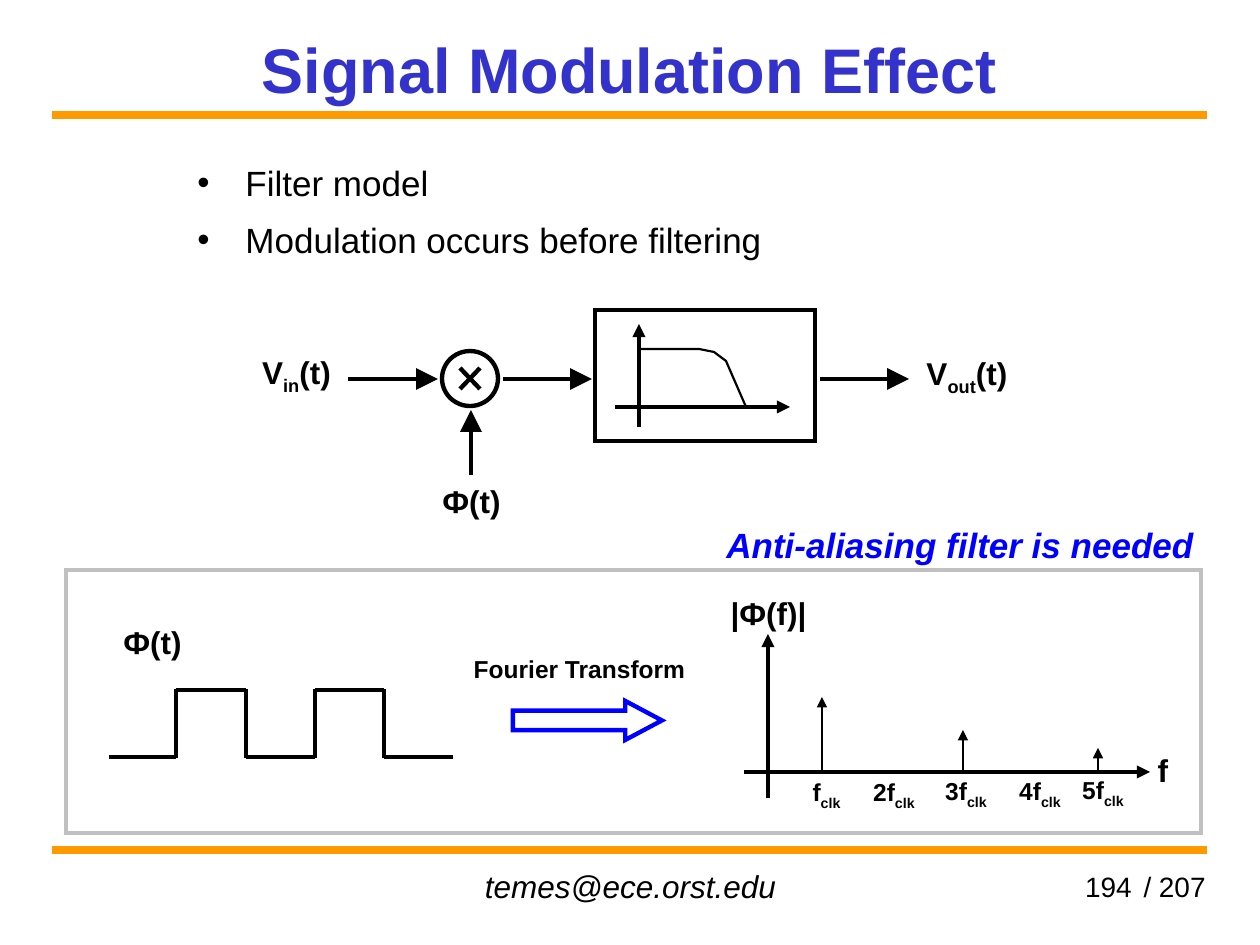
"""Build the signal modulation effect slide."""
from lxml import etree
from pptx import Presentation
from pptx.dml.color import RGBColor
from pptx.enum import shapes, text
from pptx.oxml.ns import qn
from pptx.util import Pt

PX = 914400 / 126
COLORS = {"black": "000000", "title": "3333CC", "rule": "FF9900",
          "blue": "0000FF", "frame": "C0C0C0"}
LEFT, CENTER, RIGHT = text.PP_ALIGN.LEFT, text.PP_ALIGN.CENTER, text.PP_ALIGN.RIGHT
TOP, MIDDLE, BOTTOM = text.MSO_ANCHOR.TOP, text.MSO_ANCHOR.MIDDLE, text.MSO_ANCHOR.BOTTOM

prs = Presentation()
prs.slide_width, prs.slide_height = int(1260 * PX), int(945 * PX)
s = prs.slides.add_slide(prs.slide_layouts[6])


def add_line(x1, y1, x2, y2, width=2.5, color="black", head=None):
    ends = [int(v * PX) for v in (x1, y1, x2, y2)]
    cx = s.shapes.add_connector(shapes.MSO_CONNECTOR.STRAIGHT, *ends)
    cx.line.width = Pt(width)
    cx.line.color.rgb = RGBColor.from_string(COLORS[color])
    if head:
        etree.SubElement(cx.line._get_or_add_ln(), qn("a:tailEnd"),
                         type="triangle", w=head, len=head)
    etree.SubElement(cx._element.spPr, qn("a:effectLst"))


def add_text(box, paragraphs, size, color="black", bold=False, italic=False,
             align=CENTER, anchor=BOTTOM, wrap=False, bullet=False):
    tf = s.shapes.add_textbox(*[int(v * PX) for v in box]).text_frame
    tf.word_wrap = wrap
    tf.vertical_anchor = anchor
    for i, runs in enumerate(paragraphs):
        p = tf.add_paragraph() if i else tf.paragraphs[0]
        p.alignment = align
        if i:
            p.line_spacing = 1.2
            p.space_before = Pt(4)
        if bullet:
            pPr = p._p.get_or_add_pPr()
            pPr.set("marL", str(int(48 * PX)))
            pPr.set("indent", str(int(-48 * PX)))
            etree.SubElement(pPr, qn("a:buFont"), typeface="Arial")
            etree.SubElement(pPr, qn("a:buChar"), char="•")
        for j, part in enumerate(runs):
            r = p.add_run()
            r.text = part
            r.font.name = "Arial"
            r.font.size = Pt(size)
            r.font.bold, r.font.italic = bold, italic
            r.font.color.rgb = RGBColor.from_string(COLORS[color])
            if j == 1:
                r._r.get_or_add_rPr().set("baseline", "-25000")


for y in (115, 850):
    add_line(52, y, 1207, y, 4.5, "rule")
add_text((94, 21, 1071, 95), [["Signal Modulation Effect"]], 36, "title",
         bold=True, anchor=MIDDLE, wrap=True)
add_text((185, 155, 673, 137), [["Filter model"], ["Modulation occurs before filtering"]],
         20, align=LEFT, anchor=TOP, wrap=True, bullet=True)
add_text((410, 861, 441, 50), [["temes@ece.orst.edu"]], 18, italic=True,
         anchor=TOP, wrap=True)
for x, w, number in ((935, 283, "/ 207"), (969, 175, "194")):
    add_text((x, 861, w, 50), [[number]], 16, align=RIGHT, anchor=MIDDLE, wrap=True)
add_text((714, 517, 502, 59), [["Anti-aliasing filter is needed"]], 20, "blue",
         bold=True, italic=True, align=LEFT, anchor=TOP)

kinds = shapes.MSO_SHAPE
for kind, box, color, width in (
    (kinds.OVAL, (442, 351, 56, 55), "black", 2.5),
    (kinds.RECTANGLE, (595, 310, 220, 131), "black", 2.5),
    (kinds.RECTANGLE, (66, 570, 1135, 263), "frame", 2),
    (kinds.RIGHT_ARROW, (513, 701, 149, 39), "blue", 2.5),
):
    sp = s.shapes.add_shape(kind, *[int(v * PX) for v in box])
    sp.shadow.inherit = False
    sp.fill.background()
    sp.line.width = Pt(width)
    sp.line.color.rgb = RGBColor.from_string(COLORS[color])
    etree.SubElement(sp.line._get_or_add_ln(), qn("a:miter"), lim="800000")
    if kind == kinds.RIGHT_ARROW:
        sp.adjustments[1] = 0.94

for x1, x2 in ((348, 438), (503, 592), (820, 909)):
    add_line(x1, 379, x2, 379, head="lg")
add_line(471, 475, 471, 410, head="lg")
add_line(480, 368, 460, 389)
add_line(460, 368, 480, 389)

response = [(640, 349), (699, 349), (714, 352), (726, 361), (746, 407)]
points = [(int(x * PX), int(y * PX)) for x, y in response]
fb = s.shapes.build_freeform(*points[0])
fb.add_line_segments(points[1:], close=False)
curve = fb.convert_to_shape()
curve.shadow.inherit = False
curve.fill.background()
curve.line.width = Pt(1.25)
curve.line.color.rgb = RGBColor.from_string(COLORS["black"])

for axis in ((639, 427, 639, 324), (615, 407, 790, 407),
             (768, 798, 768, 634), (744, 772, 1150, 772)):
    add_line(*axis, head="med")

low, high = 757, 690
edges = [109, 176, 246, 315, 384, 453]
for i, (x1, x2) in enumerate(zip(edges, edges[1:])):
    level = high if i % 2 else low
    add_line(x1, level, x2, level)
    if x2 != edges[-1]:
        add_line(x2, low + 1, x2, high - 1)

for x, peak in ((822, 697), (963, 730), (1098, 748)):
    add_line(x, 771, x, peak, 1, head="med")
for x, y, w, harmonic in ((799, 775, 55, "f"), (859, 775, 70, "2f"), (931, 774, 70, "3f"),
                          (1005, 774, 70, "4f"), (1068, 773, 70, "5f")):
    add_text((x, y, w, 42), [[harmonic, "clk"]], 14, bold=True)

for x, y, w, runs in (
    (246, 352, 101, ["V", "in", "(t)"]),
    (910, 353, 114, ["V", "out", "(t)"]),
    (426, 476, 91, ["Ф(t)"]),
    (107, 617, 91, ["Ф(t)"]),
    (714, 588, 109, ["|Ф(f)|"]),
    (1143, 745, 40, ["f"]),
):
    add_text((x, y, w, 50), [runs], 18, bold=True)
add_text((457, 648, 245, 42), [["Fourier Transform"]], 14, bold=True)

prs.save("out.pptx")
